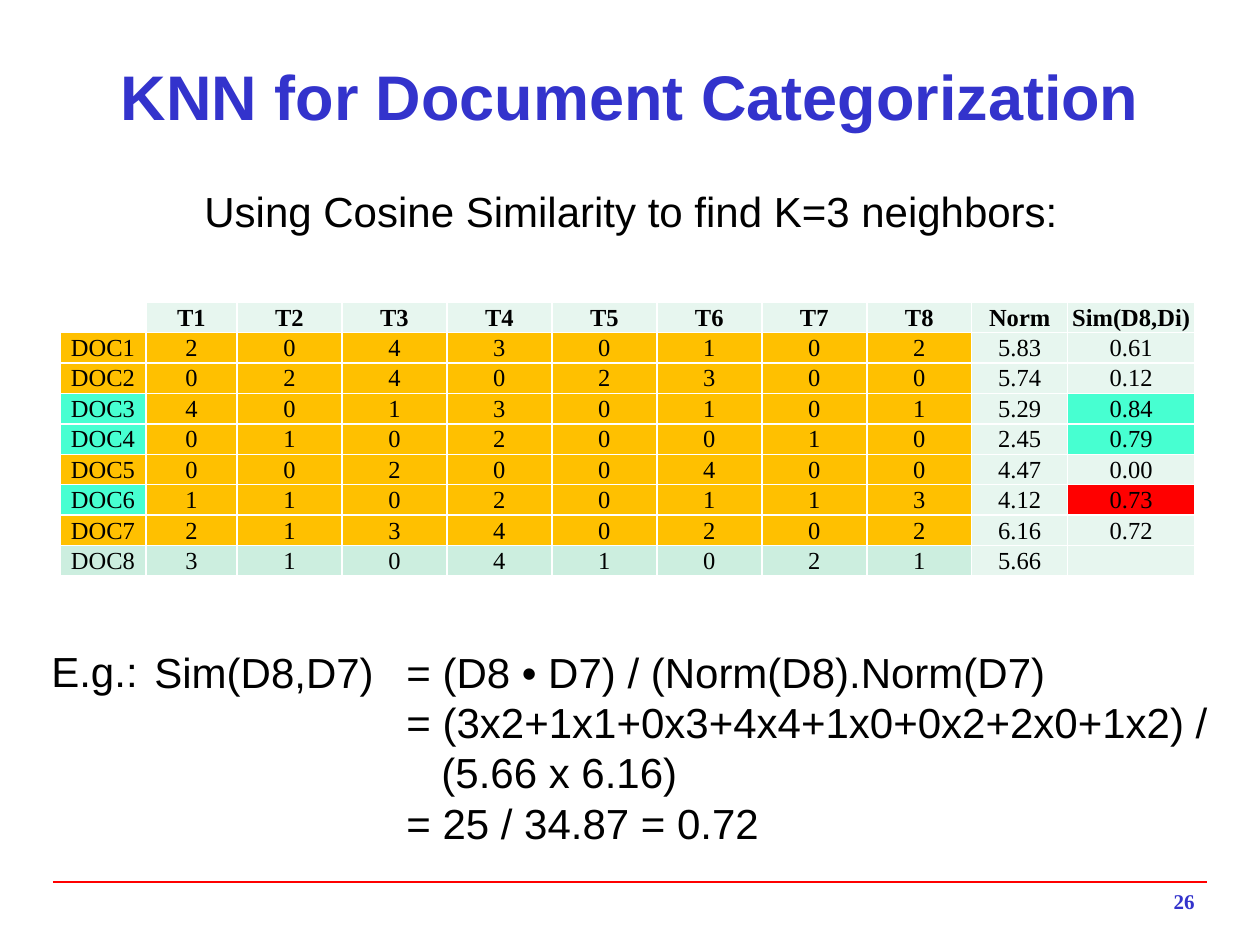
from lxml import etree
from pptx import Presentation
from pptx import util as u
from pptx.dml.color import RGBColor
from pptx.enum import shapes, text
from pptx.oxml import ns

PX = 914400 / 126
SANS, SERIF = "Arial", "Times New Roman"
BLACK = RGBColor(0x00, 0x00, 0x00)
BLUE = RGBColor(0x33, 0x33, 0xCC)
RED = RGBColor(0xFF, 0x00, 0x00)
WHITE = RGBColor(0xFF, 0xFF, 0xFF)
ORANGE = RGBColor(0xFF, 0xC0, 0x00)
TURQUOISE = RGBColor(0x47, 0xFF, 0xD1)
MINT = RGBColor(0xCC, 0xEE, 0xDF)
PALE = RGBColor(0xE7, 0xF6, 0xEF)

COLUMN_WIDTHS = [86, 91] + [105] * 7 + [96, 127]
ROW_HEIGHT = 28
SCORES = [
    ["", "T1", "T2", "T3", "T4", "T5", "T6", "T7", "T8", "Norm", "Sim(D8,Di)"],
    ["DOC1", 2, 0, 4, 3, 0, 1, 0, 2, "5.83", "0.61"],
    ["DOC2", 0, 2, 4, 0, 2, 3, 0, 0, "5.74", "0.12"],
    ["DOC3", 4, 0, 1, 3, 0, 1, 0, 1, "5.29", "0.84"],
    ["DOC4", 0, 1, 0, 2, 0, 0, 1, 0, "2.45", "0.79"],
    ["DOC5", 0, 0, 2, 0, 0, 4, 0, 0, "4.47", "0.00"],
    ["DOC6", 1, 1, 0, 2, 0, 1, 1, 3, "4.12", "0.73"],
    ["DOC7", 2, 1, 3, 4, 0, 2, 0, 2, "6.16", "0.72"],
    ["DOC8", 3, 1, 0, 4, 1, 0, 2, 1, "5.66", ""],
]
NEIGHBORS = (3, 4, 6)
LAST_ROW = len(SCORES) - 1
NORM_COLUMN, SIM_COLUMN = 9, 10
HIGHLIGHTS = {(0, 0): WHITE, (3, SIM_COLUMN): TURQUOISE,
              (4, SIM_COLUMN): TURQUOISE, (6, SIM_COLUMN): RED}


def px(length):
    return u.Emu(round(length * PX))


def style(paragraph, size, face=SANS, color=BLACK, bold=False,
          align=text.PP_ALIGN.LEFT):
    paragraph.alignment = align
    font = paragraph.font
    font.size, font.name, font.bold = u.Pt(size), face, bold
    font.color.rgb = color


def add_text(slide, box, lines, size, wrap=False, **look):
    frame = slide.shapes.add_textbox(*map(px, box)).text_frame
    frame.word_wrap = wrap
    if not wrap:
        frame.auto_size = text.MSO_AUTO_SIZE.SHAPE_TO_FIT_TEXT
    for index, line in enumerate(lines):
        paragraph = frame.add_paragraph() if index else frame.paragraphs[0]
        paragraph.text = line
        style(paragraph, size, **look)
    return frame


def add_heading(slide, left, top, width):
    title = add_text(slide, (left, top, width, 84), ["KNN for Document Categorization"],
                     36, wrap=True, color=BLUE, bold=True, align=text.PP_ALIGN.CENTER)
    title.vertical_anchor = text.MSO_ANCHOR.MIDDLE
    add_text(slide, (left + 129, top + 126, 888, 63),
             ["Using Cosine Similarity to find K=3 neighbors:"], 24)


def cell_fill(row, column):
    if (row, column) in HIGHLIGHTS:
        return HIGHLIGHTS[row, column]
    if row == 0 or column >= NORM_COLUMN:
        return PALE
    if row == LAST_ROW:
        return MINT
    return TURQUOISE if column == 0 and row in NEIGHBORS else ORANGE


def add_borders(cell):
    """Draw a thin white line on all four sides of the cell."""
    properties = cell._tc.get_or_add_tcPr()
    for index, side in enumerate(("lnL", "lnR", "lnT", "lnB")):
        line = etree.Element(ns.qn(f"a:{side}"), w=str(u.Pt(1)))
        fill = etree.SubElement(line, ns.qn("a:solidFill"))
        etree.SubElement(fill, ns.qn("a:srgbClr"), val=str(WHITE))
        properties.insert(index, line)


def add_scores(slide, left, top):
    size = (sum(COLUMN_WIDTHS), ROW_HEIGHT * len(SCORES))
    table = slide.shapes.add_table(len(SCORES), len(COLUMN_WIDTHS),
                                   *map(px, (left, top, *size))).table
    for column, width in zip(table.columns, COLUMN_WIDTHS):
        column.width = px(width)
    table.rows[LAST_ROW].height = px(ROW_HEIGHT + 2)
    for row, values in enumerate(SCORES):
        for column, value in enumerate(values):
            cell = table.cell(row, column)
            cell.text = str(value)
            cell.margin_left = cell.margin_right = cell.margin_top = px(1)
            cell.margin_bottom = 0
            cell.vertical_anchor = text.MSO_ANCHOR.MIDDLE
            cell.fill.solid()
            cell.fill.fore_color.rgb = cell_fill(row, column)
            style(cell.text_frame.paragraphs[0], 14, face=SERIF, bold=row == 0,
                  align=text.PP_ALIGN.CENTER)
            add_borders(cell)


def add_example(slide, left, top):
    add_text(slide, (left, top, 112, 63), ["E.g.:"], 24)
    steps = add_text(slide, (left + 103, top + 1, 1089, 217), [
        "Sim(D8,D7) \t= (D8 • D7) / (Norm(D8).Norm(D7)",
        "= (3x2+1x1+0x3+4x4+1x0+0x2+2x0+1x2) /",
        "(5.66 x 6.16)",
        "= 25 / 34.87 = 0.72",
    ], 24)
    for paragraph, indent in zip(steps.paragraphs, (0, 252, 287, 252)):
        properties = paragraph._p.get_or_add_pPr()
        properties.set("marL", str(px(indent)))
        properties.set("indent", "0")


def add_footer(slide, left, top, width):
    rule = slide.shapes.add_connector(shapes.MSO_CONNECTOR.STRAIGHT,
                                      *map(px, (left, top, left + width, top)))
    rule.line.color.rgb = RED
    rule.line.width = u.Pt(1)
    etree.SubElement(rule._element.spPr, ns.qn("a:effectLst"))
    add_text(slide, (left + width - 262, top, 262, 42), ["26"], 12, wrap=True,
             face=SERIF, color=BLUE, bold=True, align=text.PP_ALIGN.RIGHT)


def main():
    deck = Presentation()
    deck.slide_width, deck.slide_height = px(1260), px(945)
    slide = deck.slides.add_slide(deck.slide_layouts[6])
    add_footer(slide, 53, 882, 1154)
    add_heading(slide, 63, 53, 1134)
    add_scores(slide, 60, 302)
    add_example(slide, 39, 639)
    deck.save("out.pptx")


if __name__ == "__main__":
    main()
